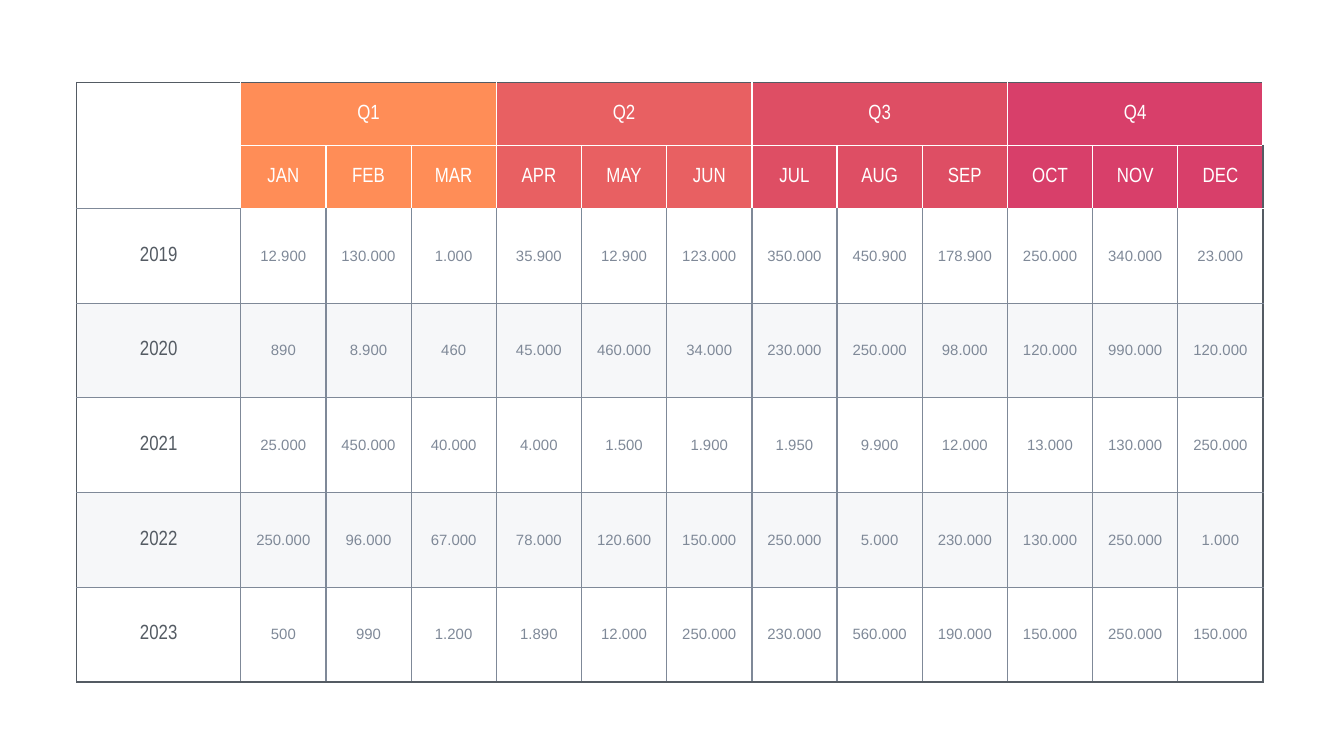
from dataclasses import dataclass
from typing import NamedTuple

from lxml.etree import SubElement
from pptx import Presentation
from pptx.dml.color import RGBColor
from pptx.enum.text import MSO_ANCHOR, PP_ALIGN
from pptx.oxml.ns import qn
from pptx.table import Table, _Cell
from pptx.util import Cm, Pt


class TextStyle(NamedTuple):
    font: str
    size: float
    color: str


class Fill(NamedTuple):
    color: str
    opacity: int = 100


@dataclass(frozen=True)
class Theme:
    white: str = "FFFFFF"
    outline: str = "545B63"
    grid: str = "7F8998"
    border_width: float = 0.75
    header: TextStyle = TextStyle("Arial Narrow", 11, "FFFFFF")
    year: TextStyle = TextStyle("Arial Narrow", 11, "545B63")
    value: TextStyle = TextStyle("Arial", 8, "7F8998")


@dataclass(frozen=True)
class Quarter:
    name: str
    months: tuple[str, ...]
    color: str


@dataclass(frozen=True)
class Year:
    name: str
    values: str
    fill: Fill


THEME = Theme()
PLAIN = Fill(THEME.white)
SHADED = Fill("EEF0F4", 50)

QUARTERS = (
    Quarter("Q1", ("JAN", "FEB", "MAR"), "FF8D57"),
    Quarter("Q2", ("APR", "MAY", "JUN"), "E86062"),
    Quarter("Q3", ("JUL", "AUG", "SEP"), "DE4E64"),
    Quarter("Q4", ("OCT", "NOV", "DEC"), "D83F6A"),
)

YEARS = (
    Year("2019", "12.900 130.000 1.000 35.900 12.900 123.000 "
         "350.000 450.900 178.900 250.000 340.000 23.000", PLAIN),
    Year("2020", "890 8.900 460 45.000 460.000 34.000 "
         "230.000 250.000 98.000 120.000 990.000 120.000", SHADED),
    Year("2021", "25.000 450.000 40.000 4.000 1.500 1.900 "
         "1.950 9.900 12.000 13.000 130.000 250.000", PLAIN),
    Year("2022", "250.000 96.000 67.000 78.000 120.600 150.000 "
         "250.000 5.000 230.000 130.000 250.000 1.000", SHADED),
    Year("2023", "500 990 1.200 1.890 12.000 250.000 "
         "230.000 560.000 190.000 150.000 250.000 150.000", Fill(THEME.white, 50)),
)

HEADER_ROWS = 2
ROWS = HEADER_ROWS + len(YEARS)
COLUMNS = 1 + sum(len(quarter.months) for quarter in QUARTERS)
LEFT, TOP = Cm(1.45), Cm(1.56)
YEAR_WIDTH, MONTH_WIDTH = Cm(3.1), Cm(1.61)
HEADER_HEIGHT, YEAR_HEIGHT = Cm(1.19), Cm(1.79)


def border_colors(row: int, column: int) -> dict[str, str]:
    in_header = row < HEADER_ROWS
    is_month = column > 0
    side = THEME.white if in_header else THEME.grid
    above = THEME.white if is_month and row <= HEADER_ROWS else THEME.grid
    below = THEME.white if is_month and in_header else THEME.grid
    return {
        "a:lnL": side if is_month else THEME.outline,
        "a:lnR": THEME.outline if column == COLUMNS - 1 else side,
        "a:lnT": THEME.outline if row == 0 else above,
        "a:lnB": THEME.outline if row == ROWS - 1 else below,
    }


def draw_borders(table: Table) -> None:
    for row in range(ROWS):
        for column in range(COLUMNS):
            cell = table.cell(row, column)
            if cell.is_spanned:
                continue
            properties = cell._tc.get_or_add_tcPr()
            for tag, color in border_colors(row, column).items():
                line = SubElement(properties, qn(tag), w=str(Pt(THEME.border_width)))
                solid = SubElement(line, qn("a:solidFill"))
                SubElement(solid, qn("a:srgbClr"), val=color)


def fill_cell(cell: _Cell, text: str, style: TextStyle, fill: Fill) -> None:
    cell.margin_left = cell.margin_right = Cm(0.1)
    cell.margin_top = cell.margin_bottom = Cm(0.05)
    cell.vertical_anchor = MSO_ANCHOR.MIDDLE
    cell.fill.solid()
    cell.fill.fore_color.rgb = RGBColor.from_string(fill.color)
    if fill.opacity < 100:
        color = cell._tc.tcPr.find(qn("a:solidFill")).find(qn("a:srgbClr"))
        SubElement(color, qn("a:alpha"), val=str(fill.opacity * 1000))
    cell.text_frame.text = text
    para = cell.text_frame.paragraphs[0]
    para.alignment = PP_ALIGN.CENTER
    font = para.runs[0].font
    font.name = style.font
    font.size = Pt(style.size)
    font.color.rgb = RGBColor.from_string(style.color)


def size_table(table: Table) -> None:
    for index, column in enumerate(table.columns):
        column.width = MONTH_WIDTH if index else YEAR_WIDTH
    for index, row in enumerate(table.rows):
        row.height = HEADER_HEIGHT if index < HEADER_ROWS else YEAR_HEIGHT


def merge_headers(table: Table) -> None:
    table.cell(0, 0).merge(table.cell(HEADER_ROWS - 1, 0))
    first = 1
    for quarter in QUARTERS:
        last = first + len(quarter.months) - 1
        table.cell(0, first).merge(table.cell(0, last))
        first = last + 1


def write_headers(table: Table) -> None:
    table.cell(0, 0).fill.background()
    column = 1
    for quarter in QUARTERS:
        fill = Fill(quarter.color)
        fill_cell(table.cell(0, column), quarter.name, THEME.header, fill)
        for month in quarter.months:
            fill_cell(table.cell(1, column), month, THEME.header, fill)
            column += 1


def write_years(table: Table) -> None:
    for row, year in enumerate(YEARS, start=HEADER_ROWS):
        fill_cell(table.cell(row, 0), year.name, THEME.year, year.fill)
        for column, value in enumerate(year.values.split(), start=1):
            fill_cell(table.cell(row, column), value, THEME.value, year.fill)


def main() -> None:
    deck = Presentation()
    deck.slide_width, deck.slide_height = Cm(25.4), Cm(14.29)
    page = deck.slides.add_slide(deck.slide_layouts[6])
    width = YEAR_WIDTH + (COLUMNS - 1) * MONTH_WIDTH
    height = HEADER_ROWS * HEADER_HEIGHT + len(YEARS) * YEAR_HEIGHT
    table = page.shapes.add_table(ROWS, COLUMNS, LEFT, TOP, width, height).table
    table.first_row = False
    table.horz_banding = False
    size_table(table)
    merge_headers(table)
    draw_borders(table)
    write_headers(table)
    write_years(table)
    deck.save("out.pptx")


if __name__ == "__main__":
    main()
